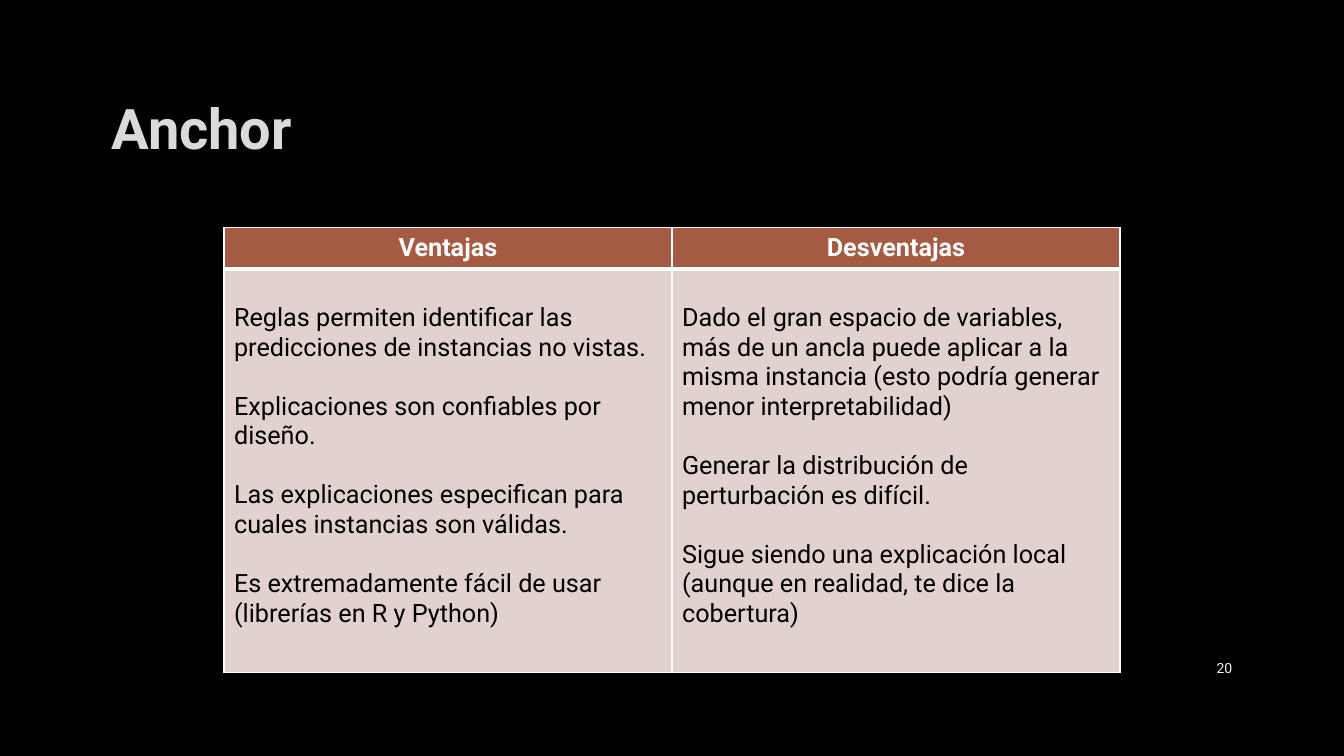
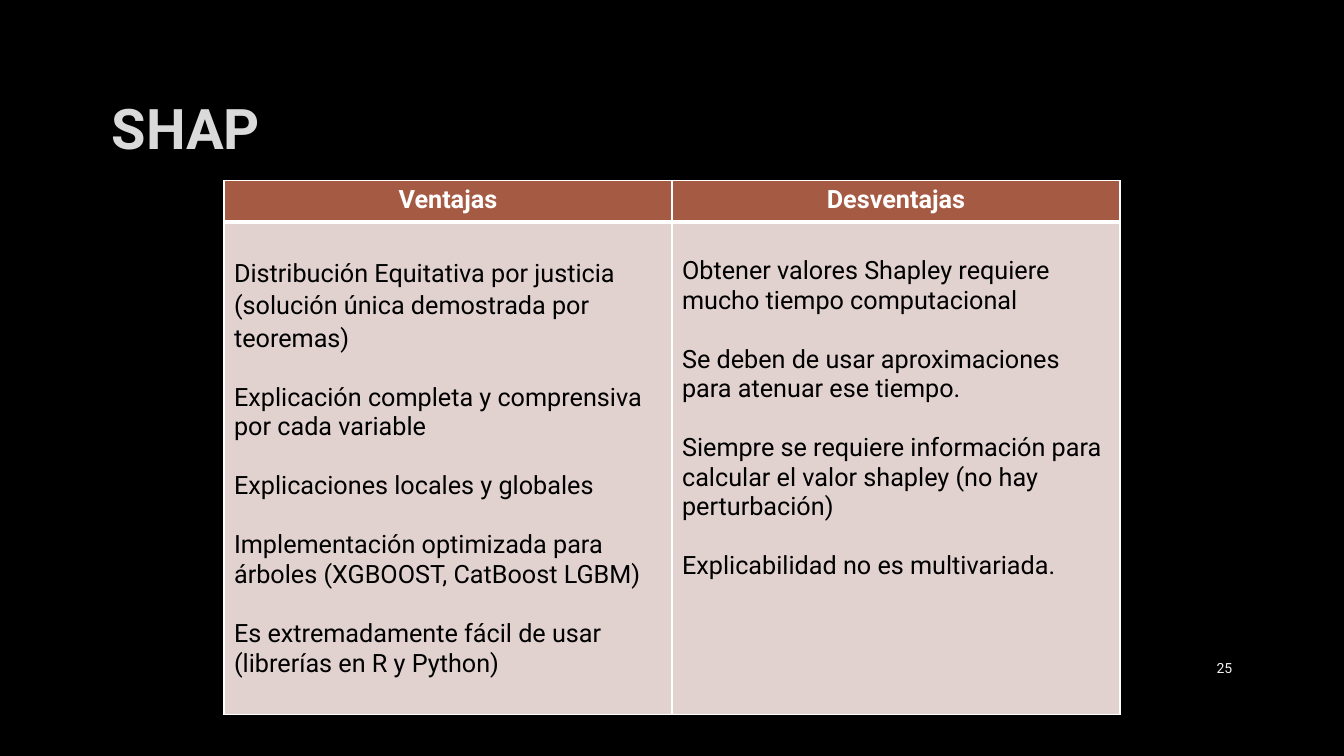
from dataclasses import dataclass

from lxml.etree import SubElement
from pptx import Presentation
from pptx.dml.color import RGBColor
from pptx.enum.text import MSO_ANCHOR, PP_ALIGN
from pptx.oxml.ns import qn
from pptx.util import Inches, Pt


@dataclass(frozen=True)
class Theme:
    font: str = "Roboto"
    background: str = "000000"
    title: str = "DADADA"
    number: str = "F2F2F2"
    header_fill: str = "A55A43"
    header_text: str = "FFFFFF"
    body_fill: str = "E1D2CF"
    body_text: str = "000000"
    border: str = "FFFFFF"
    title_size: int = 40
    table_size: int = 18
    number_size: int = 10
    thin: int = 1
    thick: int = 3
    blank_line: int = 21


theme = Theme()
header_labels = ("Ventajas", "Desventajas")
comparisons = [
    {
        "title": "Anchor", "number": "20", "top": 2.26, "height": 4.41, "first_spacing": 1.0,
        "columns": (
            ("Reglas permiten identificar las predicciones de instancias no vistas.",
             "Explicaciones son confiables por diseño.",
             "Las explicaciones especifican para cuales instancias son válidas.",
             "Es extremadamente fácil de usar (librerías en R y Python)"),
            ("Dado el gran espacio de variables, más de un ancla puede aplicar a la misma "
             "instancia (esto podría generar menor interpretabilidad)",
             "Generar la distribución de perturbación es difícil.",
             "Sigue siendo una explicación local (aunque en realidad, te dice la cobertura)"),
        ),
    },
    {
        "title": "SHAP", "number": "25", "top": 1.79, "height": 5.3, "first_spacing": 1.1,
        "columns": (
            ("Distribución Equitativa por justicia (solución única demostrada por teoremas)",
             "Explicación completa y comprensiva por cada variable",
             "Explicaciones locales y globales",
             "Implementación optimizada para árboles (XGBOOST, CatBoost LGBM)",
             "Es extremadamente fácil de usar (librerías en R y Python)"),
            ("Obtener valores Shapley requiere mucho tiempo computacional",
             "Se deben de usar aproximaciones para atenuar ese tiempo.",
             "Siempre se requiere información para calcular el valor shapley (no hay perturbación)",
             "Explicabilidad no es multivariada."),
        ),
    },
]


def write(text_frame, text, size, color, bold=False, align=PP_ALIGN.LEFT):
    text_frame.text = text
    text_frame.word_wrap = True
    for paragraph in text_frame.paragraphs:
        paragraph.alignment = align
        for run in paragraph.runs:
            run.font.name = theme.font
            run.font.size = Pt(size)
            run.font.bold = bold
            run.font.color.rgb = RGBColor.from_string(color)


def paint_cell(cell, fill, top, bottom):
    cell.fill.solid()
    cell.fill.fore_color.rgb = RGBColor.from_string(fill)
    properties = cell._tc.get_or_add_tcPr()
    widths = (("a:lnL", theme.thin), ("a:lnR", theme.thin), ("a:lnT", top), ("a:lnB", bottom))
    for position, (tag, width) in enumerate(widths):
        line = SubElement(properties, qn(tag), w=str(Pt(width)))
        solid = SubElement(line, qn("a:solidFill"))
        SubElement(solid, qn("a:srgbClr"), val=theme.border)
        properties.insert(position, line)


presentation = Presentation()
presentation.slide_width = Inches(13.33)
presentation.slide_height = Inches(7.5)
grid_column = presentation.slide_width // 12
margin = Inches(1.01)
content_width = presentation.slide_width - 2 * margin
number_width = Inches(0.82)
header_height = Inches(0.41)

background = presentation.slide_master.background.fill
background.solid()
background.fore_color.rgb = RGBColor.from_string(theme.background)

for comparison in comparisons:
    slide = presentation.slides.add_slide(presentation.slide_layouts[6])

    title = slide.shapes.add_textbox(margin, Inches(0.73), content_width, Inches(1.06))
    write(title.text_frame, comparison["title"], theme.title_size, theme.title, bold=True)
    title.text_frame.vertical_anchor = MSO_ANCHOR.MIDDLE

    number = slide.shapes.add_textbox(
        margin + content_width - number_width, Inches(6.43), number_width, Inches(0.4))
    write(number.text_frame, comparison["number"], theme.number_size, theme.number,
          align=PP_ALIGN.RIGHT)
    number.text_frame.vertical_anchor = MSO_ANCHOR.MIDDLE

    table = slide.shapes.add_table(
        2, 2, 2 * grid_column, Inches(comparison["top"]),
        8 * grid_column, Inches(comparison["height"])).table
    table.horz_banding = False
    table.rows[0].height = header_height
    table.rows[1].height = Inches(comparison["height"]) - header_height

    for index, (label, points) in enumerate(zip(header_labels, comparison["columns"])):
        header, body = table.cell(0, index), table.cell(1, index)
        write(header.text_frame, label, theme.table_size, theme.header_text,
              bold=True, align=PP_ALIGN.CENTER)
        paint_cell(header, theme.header_fill, theme.thin, theme.thick)

        write(body.text_frame, "\n".join(points), theme.table_size, theme.body_text)
        paint_cell(body, theme.body_fill, theme.thick, theme.thin)
        body.margin_top = Inches(0.05) + Pt(theme.blank_line)
        first, *others = body.text_frame.paragraphs
        if index == 0:
            first.line_spacing = comparison["first_spacing"]
        for paragraph in others:
            paragraph.space_before = Pt(theme.blank_line)

presentation.save("out.pptx")
